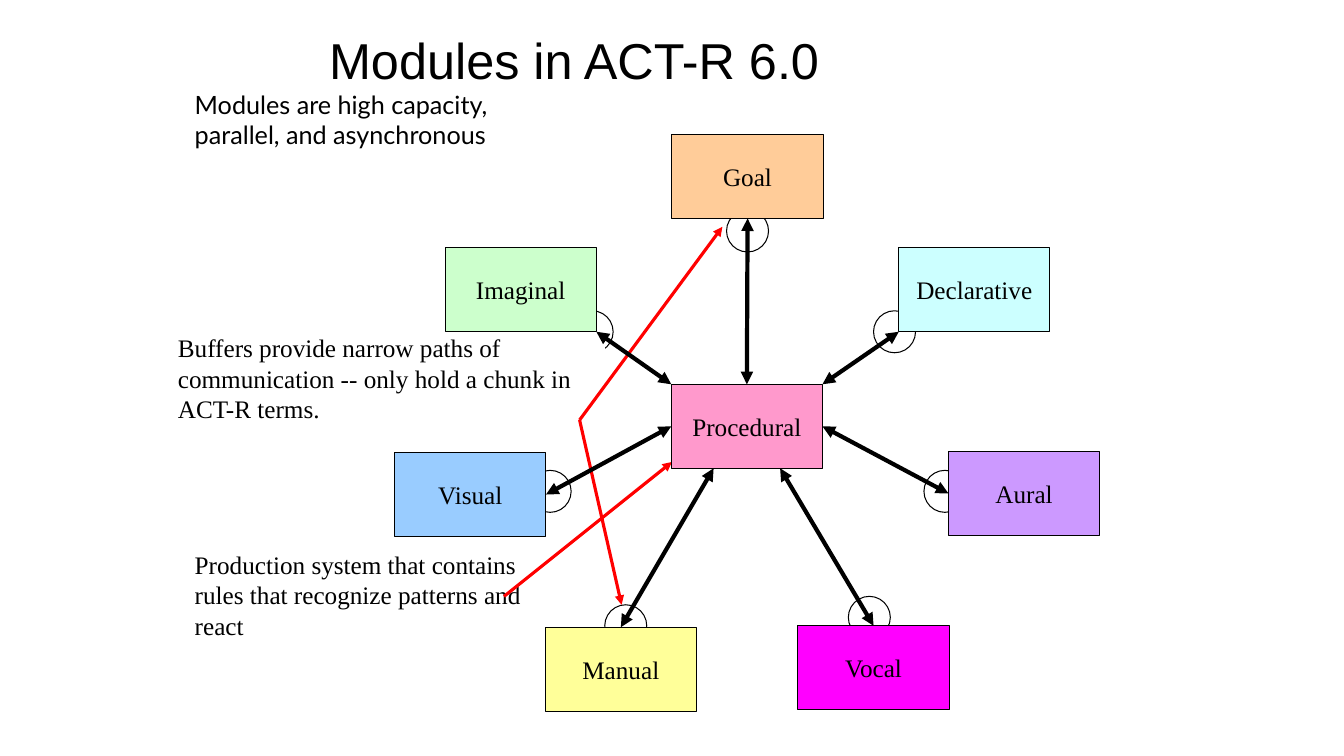
from pptx import Presentation
from pptx.dml.color import RGBColor
from pptx.enum.shapes import MSO_CONNECTOR as CONN, MSO_SHAPE as SHAPE
from pptx.enum.text import MSO_ANCHOR as ANCHOR, PP_ALIGN as ALIGN
from pptx.oxml.ns import qn
from pptx.util import Pt
from lxml.etree import SubElement

COLORS = {
    "black": "000000", "white": "FFFFFF", "red": "FF0000",
    "Goal": "FFCC99", "Imaginal": "CCFFCC", "Declarative": "CCFFFF",
    "Visual": "99CCFF", "Aural": "CC99FF", "Manual": "FFFF99",
    "Vocal": "FF00FF", "Procedural": "FF99CC",
}
SERIF = "Times New Roman"
MODULE_W, MODULE_H, BUFFER_D = 108, 60, 30

# Offsets within the network box: module corner, buffer corner,
# then arrow ends as fractions of the Procedural box and of the module box
MODULES = {
    "Manual": ((107.5, 352), (150, 336), (0.28, 1), (0.5, 0)),
    "Vocal": ((288, 351), (324, 330), (0.72, 1), (0.5, 0)),
    "Visual": ((0, 227.25), (96, 240), (0, 0.5), (1, 0.5)),
    "Aural": ((395.5, 226.5), (378, 240), (1, 0.5), (0, 0.5)),
    "Imaginal": ((36, 81), (126, 126), (0, 0), (1, 1)),
    "Declarative": ((360, 81), (342, 126), (1, 0), (0, 1)),
    "Goal": ((198, 0), (237, 54), (0.5, 0), (0.5, 1)),
}
PROCEDURAL_AT = (197.5, 178.5)
SITES = {(0.5, 0): 0, (0, 0.5): 1, (0.5, 1): 2, (1, 0.5): 3}


def rgb(name):
    return RGBColor.from_string(COLORS[name])


def write(sp, text, size=18, font=SERIF, color="black", align=ALIGN.LEFT,
          anchor=ANCHOR.TOP, wrap=True, spacing=None):
    tf = sp.text_frame
    tf.word_wrap = wrap
    tf.vertical_anchor = anchor
    p = tf.paragraphs[0]
    p.alignment = align
    p.line_spacing = spacing
    r = p.add_run()
    r.text = text
    r.font.size = Pt(size)
    r.font.name = font
    r.font.color.rgb = rgb(color)


def add_shape(s, kind, x, y, w, h, fill="white", line="black"):
    sp = s.shapes.add_shape(kind, Pt(x), Pt(y), Pt(w), Pt(h))
    sp.shadow.inherit = False
    sp.fill.solid()
    sp.fill.fore_color.rgb = rgb(fill)
    if line:
        sp.line.color.rgb = rgb(line)
        sp.line.width = Pt(0.75)
    else:
        sp.line.fill.background()
    return sp


def add_arrow(s, start, end, color, width, both=False):
    c = s.shapes.add_connector(CONN.STRAIGHT, *map(Pt, start + end))
    c.line.color.rgb = rgb(color)
    c.line.width = Pt(width)
    ln = c.line._get_or_add_ln()
    for tag in ("a:headEnd", "a:tailEnd") if both else ("a:tailEnd",):
        SubElement(ln, qn(tag), type="triangle")
    SubElement(c._element.spPr, qn("a:effectLst"))
    return c


def add_title(s, x, y, w, h, text):
    sp = s.shapes.add_textbox(Pt(x), Pt(y), Pt(w), Pt(h))
    write(sp, text, size=36, font="Arial", anchor=ANCHOR.MIDDLE, spacing=0.9)


def add_note(s, x, y, w, h, text, font=SERIF, tail=None, targets=()):
    """Note with red arrows; tail and targets are offsets from its corner."""
    write(add_shape(s, SHAPE.RECTANGLE, x, y, w, h, line=None), text, font=font)
    for dx, dy in targets:
        add_arrow(s, (x + tail[0], y + tail[1]), (x + dx, y + dy), "red", 2.25)


def add_buffers(s, x, y):
    for _, (dx, dy), _, _ in MODULES.values():
        add_shape(s, SHAPE.OVAL, x + dx, y + dy, BUFFER_D, BUFFER_D)


def add_module(s, x, y, name):
    sp = add_shape(s, SHAPE.RECTANGLE, x, y, MODULE_W, MODULE_H, fill=name)
    write(sp, name, align=ALIGN.CENTER, anchor=ANCHOR.MIDDLE, wrap=False)
    return sp


def add_network(s, x, y):
    def place(offset, at):
        return (x + offset[0] + at[0] * MODULE_W, y + offset[1] + at[1] * MODULE_H)

    # Module boxes
    boxes = {name: add_module(s, x + dx, y + dy, name)
             for name, ((dx, dy), *_) in MODULES.items()}
    hub = add_module(s, x + PROCEDURAL_AT[0], y + PROCEDURAL_AT[1], "Procedural")

    # Two-way arrows between Procedural and each module
    for name, (offset, _, hub_at, module_at) in MODULES.items():
        c = add_arrow(s, place(PROCEDURAL_AT, hub_at), place(offset, module_at),
                      "black", 3, both=True)
        if hub_at in SITES:
            c.begin_connect(hub, SITES[hub_at])
        if module_at in SITES:
            c.end_connect(boxes[name], SITES[module_at])


def main():
    prs = Presentation()
    prs.slide_width, prs.slide_height = Pt(960), Pt(540)
    s = prs.slides.add_slide(prs.slide_layouts[6])

    # Heading
    add_note(s, 132, 60, 234, 51,
             "Modules are high capacity, parallel, and asynchronous", font="Lato")
    add_title(s, 228, 0, 612, 90, "Modules in ACT-R 6.0")

    # Notes and buffers, behind the modules
    add_note(s, 132, 389, 270, 73,
             "Production system that contains rules that recognize patterns and react",
             tail=(228, 37), targets=[(348, -59)])
    add_buffers(s, 282, 96)
    add_note(s, 120, 234, 312, 73,
             "Buffers provide narrow paths of communication -- only hold a chunk "
             "in ACT-R terms.",
             tail=(294, 66), targets=[(396, -72), (324, 198)])

    # Module network
    add_network(s, 282, 96)
    prs.save("out.pptx")


if __name__ == "__main__":
    main()
